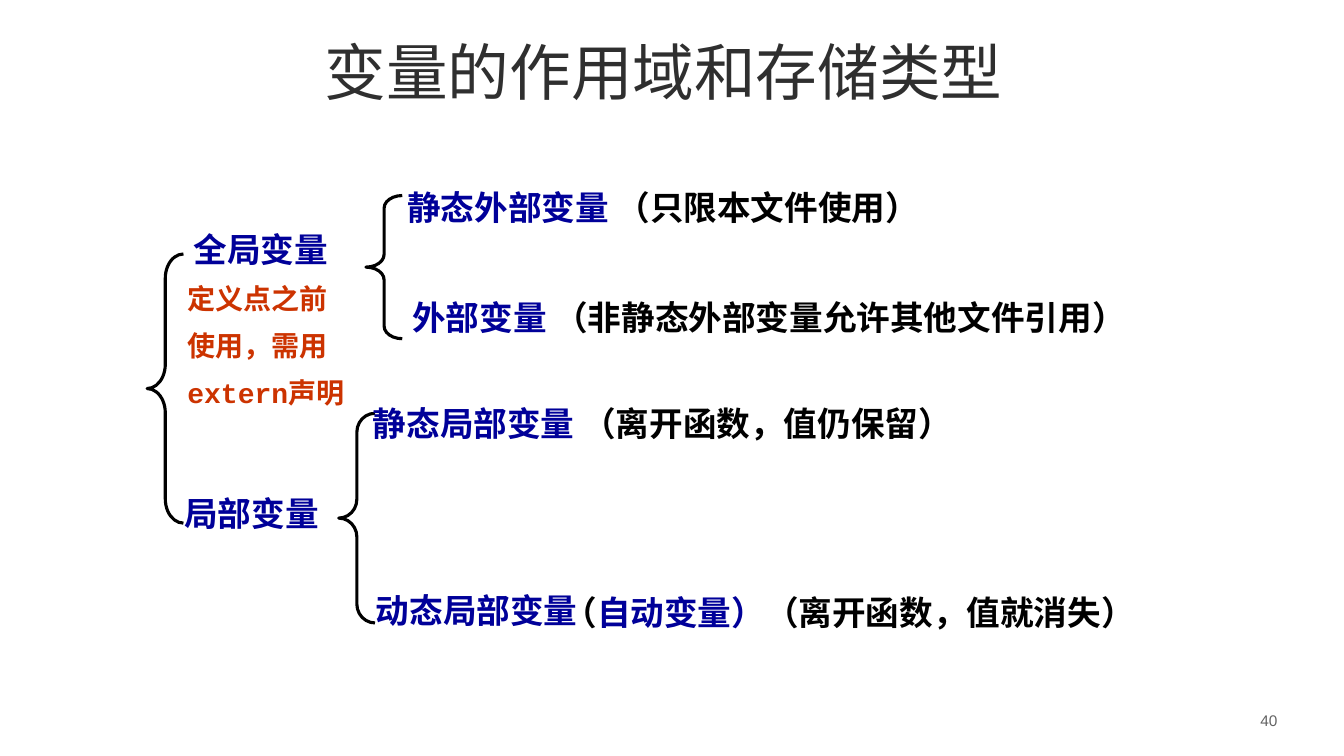
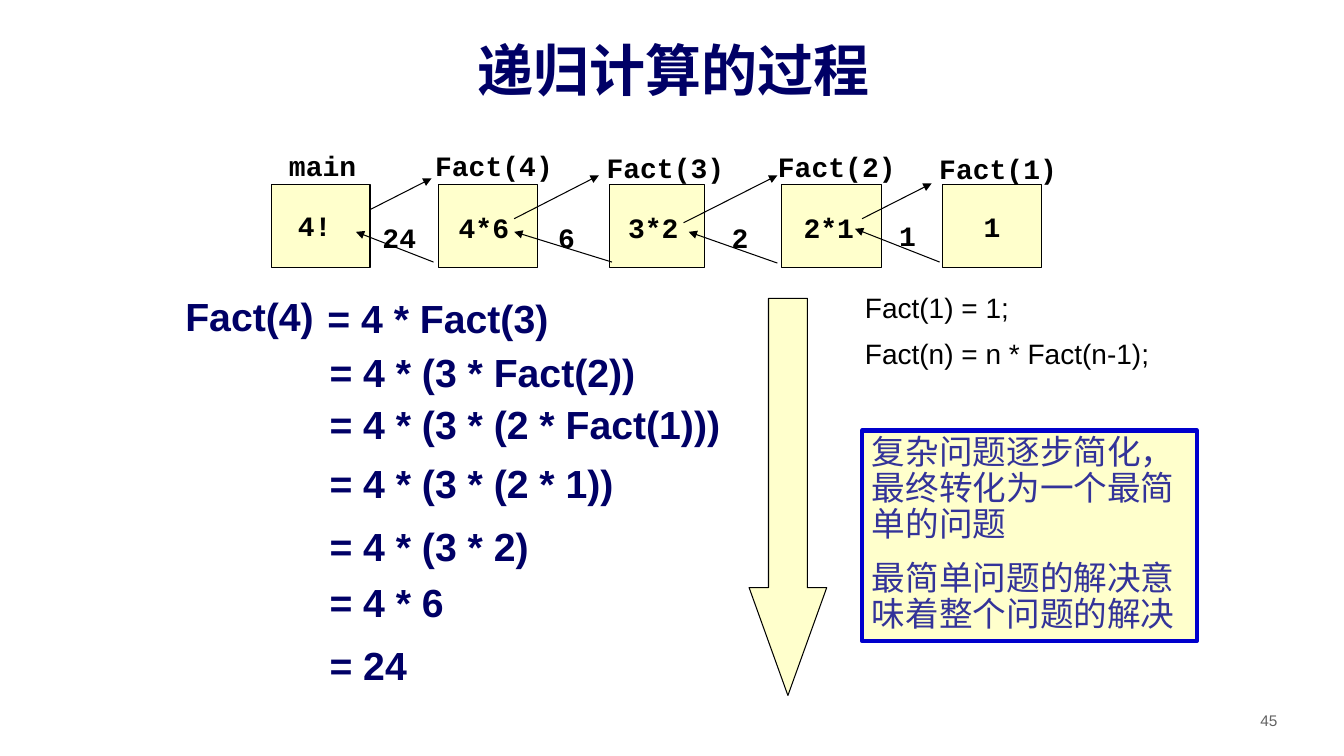
from dataclasses import dataclass
from lxml.etree import SubElement
from pptx import Presentation
from pptx.dml.color import RGBColor
from pptx.enum.shapes import MSO_CONNECTOR, MSO_SHAPE
from pptx.enum.text import MSO_ANCHOR, MSO_AUTO_SIZE, PP_ALIGN
from pptx.oxml.ns import qn
from pptx.util import Pt

PX = 9144


@dataclass(frozen=True)
class Theme:
    black: str = "000000"
    blue: str = "000099"
    navy: str = "000066"
    violet: str = "333399"
    border: str = "0000CC"
    red: str = "CC3300"
    cream: str = "FFFFCC"
    charcoal: str = "2F2F2F"
    gray: str = "636363"
    sans: str = "Arial"
    mono: str = "Courier New"
    chinese: str = "Noto Sans CJK SC"
    title: int = 44
    bold_title: int = 40
    formula: int = 28
    body: int = 24
    small: int = 20
    footer: int = 11


theme = Theme()


def place(page, frame, preset=None, fill=None, line=theme.black, weight=0.75):
    frame = [length * PX for length in frame]
    if preset is None:
        return page.shapes.add_textbox(*frame)
    shape = page.shapes.add_shape(preset, *frame)
    shape.shadow.inherit = False
    if fill:
        shape.fill.solid()
        shape.fill.fore_color.rgb = RGBColor.from_string(fill)
    else:
        shape.fill.background()
    shape.line.color.rgb = RGBColor.from_string(line)
    shape.line.width = Pt(weight)
    return shape


def write(box, paras, font, size, bold=True, align=PP_ALIGN.LEFT,
          anchor=MSO_ANCHOR.TOP, spacing=0.9, before=6):
    frame = box.text_frame
    frame.word_wrap = True
    frame.auto_size = MSO_AUTO_SIZE.NONE
    frame.vertical_anchor = anchor
    for index, spans in enumerate(paras):
        para = frame.add_paragraph() if index else frame.paragraphs[0]
        para.alignment = align
        para.line_spacing = spacing
        para.space_before = Pt(before if index else 0)
        para.space_after = Pt(6)
        for text, color in spans:
            span = para.add_run()
            span.text = text
            span.font.size = Pt(size)
            span.font.bold = bold
            span.font.color.rgb = RGBColor.from_string(color)
            span.font.name = font
            SubElement(span.font._element, qn("a:ea"), typeface=theme.chinese)


deck = Presentation()
deck.slide_width = 1333 * PX
deck.slide_height = 750 * PX

headers = [
    ("变量的作用域和存储类型", (171, 37, 975, 125), theme.title,
     theme.charcoal, False, MSO_ANCHOR.TOP, 0.9, "40"),
    ("递归计算的过程", (206, 28, 924, 92), theme.bold_title,
     theme.navy, True, MSO_ANCHOR.MIDDLE, 0.85, "45"),
]
pages = []
for title, frame, size, color, bold, anchor, spacing, number in headers:
    page = deck.slides.add_slide(deck.slide_layouts[6])
    write(place(page, frame), [[(title, color)]], theme.sans, size, bold,
          PP_ALIGN.CENTER, anchor, spacing)
    write(place(page, (1192, 700, 133, 31)), [[(number, theme.gray)]], theme.sans,
          theme.footer, False, PP_ALIGN.CENTER, MSO_ANCHOR.MIDDLE)
    pages.append(page)
scope_page, recursion_page = pages

braces = [
    ((363, 194, 36, 142), 0.35),
    ((336, 410, 36, 208), 0.52),
    ((146, 252, 36, 267), 0.67),
]
for frame, curve in braces:
    brace = place(scope_page, frame, MSO_SHAPE.LEFT_BRACE, weight=2.25)
    brace.adjustments[0] = curve
    brace.adjustments[1] = 0.5

scopes = [
    (182, 227, 172, [("全局变量", theme.blue)]),
    (173, 489, 172, [("局部变量", theme.blue)]),
    (394, 185, 722, [("静态外部变量", theme.blue), (" （只限本文件使用）", theme.black)]),
    (399, 294, 780, [("外部变量", theme.blue),
                     (" （非静态外部变量允许其他文件引用）", theme.black)]),
    (360, 399, 695, [("静态局部变量", theme.blue), (" （离开函数，值仍保留）", theme.black)]),
    (363, 585, 244, [("动态局部变量", theme.blue)]),
    (549, 587, 620, [("（", theme.black), ("自动变量）", theme.blue),
                     ("（离开函数，值就消失）", theme.black)]),
]
for left, top, width, spans in scopes:
    write(place(scope_page, (left, top, width, 47)), [spans], theme.chinese, theme.body)

declaration = ["定义点之前", "使用，需用", "extern声明"]
write(place(scope_page, (176, 278, 208, 135)),
      [[(text, theme.red)] for text in declaration], theme.mono, theme.small)

rules = ["Fact(1) = 1;", "Fact(n) = n * Fact(n-1);"]
write(place(recursion_page, (848, 287, 361, 96)),
      [[(text, theme.black)] for text in rules], theme.sans, theme.small, False, before=5)

steps = [
    (174, 288, "Fact(4)"),
    (315, 290, "= 4 * Fact(3)"),
    (317, 344, "= 4 * (3 * Fact(2))"),
    (317, 396, "= 4 * (3 * (2 * Fact(1)))"),
    (317, 454, "= 4 * (3 * (2 * 1))"),
    (317, 517, "= 4 * (3 * 2)"),
    (317, 572, "= 4 * 6"),
    (317, 635, "= 24"),
]
for left, top, text in steps:
    write(place(recursion_page, (left, top, 474, 55)), [[(text, theme.navy)]],
          theme.sans, theme.formula, spacing=0.95)

call_boxes = [(269, 98), (435, 98), (605, 94), (775, 99), (935, 98)]
for left, width in call_boxes:
    place(recursion_page, (left, 183, width, 82), MSO_SHAPE.RECTANGLE, theme.cream)

arrows = [
    (367, 208, 428, 177), (510, 217, 594, 174), (678, 221, 771, 174), (855, 217, 924, 182),
    (932, 260, 848, 227), (771, 261, 683, 230), (607, 260, 510, 230), (430, 260, 353, 230),
]
for ends in arrows:
    arrow = recursion_page.shapes.add_connector(
        MSO_CONNECTOR.STRAIGHT, *[length * PX for length in ends])
    arrow.line.color.rgb = RGBColor.from_string(theme.black)
    arrow.line.width = Pt(0.75)
    SubElement(arrow.line._get_or_add_ln(), qn("a:tailEnd"), type="triangle")
    SubElement(arrow._element.spPr, qn("a:effectLst"))

call_labels = [
    (320, 146, "main"), (490, 146, "Fact(4)"), (660, 148, "Fact(3)"),
    (830, 147, "Fact(2)"), (990, 149, "Fact(1)"),
    (312, 206, "4!"), (480, 208, "4*6"), (648, 208, "3*2"), (822, 208, "2*1"), (984, 207, "1"),
    (396, 218, "24"), (562, 218, "6"), (734, 218, "2"), (900, 216, "1"),
]
for center, top, text in call_labels:
    write(place(recursion_page, (center - 84, top, 168, 41)), [[(text, theme.black)]],
          theme.mono, theme.small, align=PP_ALIGN.CENTER)

down_arrow = place(recursion_page, (743, 296, 77, 394), MSO_SHAPE.DOWN_ARROW, theme.cream)
down_arrow.adjustments[0] = 0.5
down_arrow.adjustments[1] = 1.39

conclusions = ["复杂问题逐步简化，最终转化为一个最简单的问题", "最简单问题的解决意味着整个问题的解决"]
note = place(recursion_page, (855, 427, 332, 209), MSO_SHAPE.RECTANGLE,
             theme.cream, theme.border, 3)
write(note, [[(text, theme.violet)] for text in conclusions], theme.chinese, theme.body, False)

deck.save("out.pptx")
